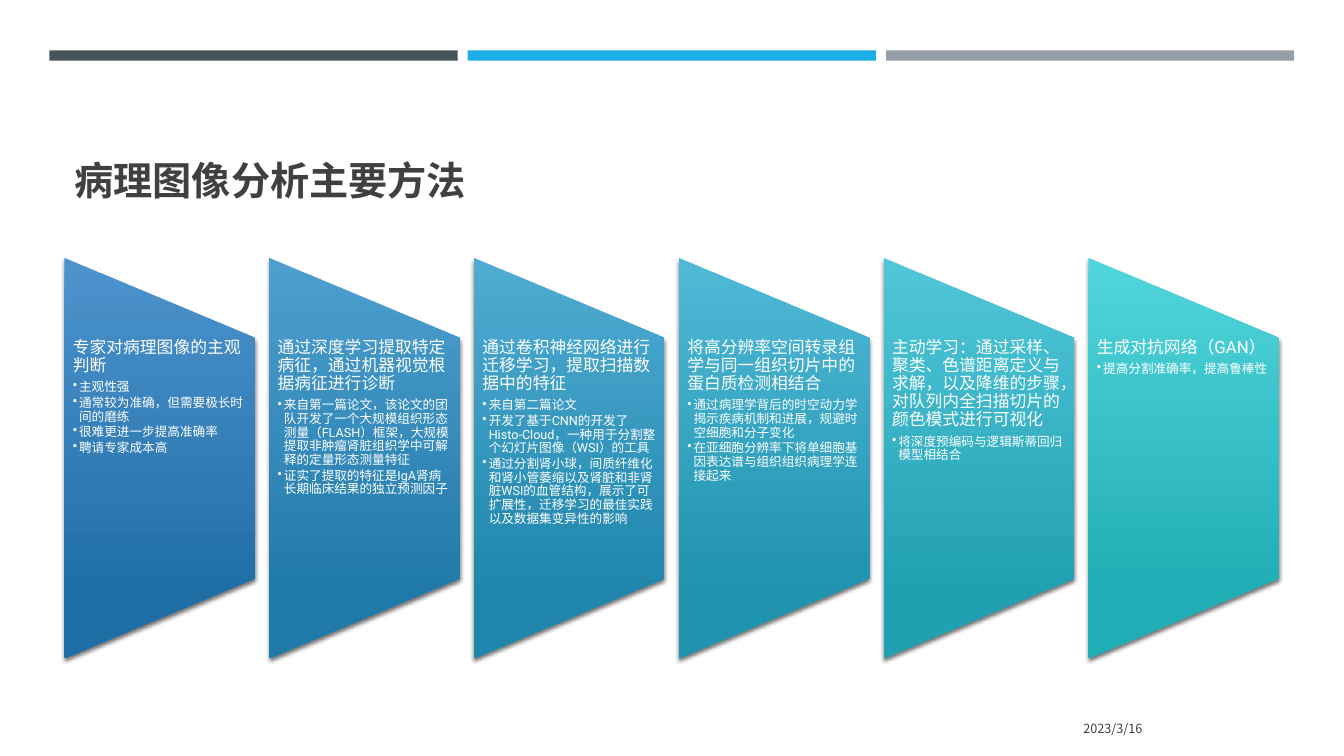
from lxml.etree import SubElement
from pptx import Presentation
from pptx.dml.color import RGBColor
from pptx.enum.lang import MSO_LANGUAGE_ID
from pptx.enum.shapes import MSO_SHAPE
from pptx.enum.text import MSO_ANCHOR, PP_ALIGN
from pptx.oxml.ns import qn
from pptx.util import Pt

TITLE = "病理图像分析主要方法"
DATE = "2023/3/16"
METHODS = [
    ("专家对病理图像的主观判断",
     ["主观性强", "通常较为准确，但需要极长时间的磨练", "很难更进一步提高准确率", "聘请专家成本高"]),
    ("通过深度学习提取特定病征，通过机器视觉根据病征进行诊断",
     ["来自第一篇论文，该论文的团队开发了一个大规模组织形态测量（FLASH）框架，大规模提取非肿瘤肾脏组织学中可解释的定量形态测量特征",
      "证实了提取的特征是IgA肾病长期临床结果的独立预测因子"]),
    ("通过卷积神经网络进行迁移学习，提取扫描数据中的特征",
     ["来自第二篇论文",
      "开发了基于CNN的开发了Histo-Cloud，一种用于分割整个幻灯片图像（WSI）的工具",
      "通过分割肾小球，间质纤维化和肾小管萎缩以及肾脏和非肾脏WSI的血管结构，展示了可扩展性，迁移学习的最佳实践以及数据集变异性的影响"]),
    ("将高分辨率空间转录组学与同一组织切片中的蛋白质检测相结合",
     ["通过病理学背后的时空动力学揭示疾病机制和进展，规避时空细胞和分子变化",
      "在亚细胞分辨率下将单细胞基因表达谱与组织组织病理学连接起来"]),
    ("主动学习：通过采样、聚类、色谱距离定义与求解，以及降维的步骤，对队列内全扫描切片的颜色模式进行可视化",
     ["将深度预编码与逻辑斯蒂回归模型相结合"]),
    ("生成对抗网络（GAN）", ["提高分割准确率，提高鲁棒性"]),
]
COLORS = {"text": "404040", "white": "FFFFFF", "shadow": "000000"}
BARS = ["465359", "1CADE4", "969FA7"]
GRADIENTS = [("4D93CD", "206EA6"), ("4E9FD0", "207AA9"), ("4FACD3", "2086AC"),
             ("4FB9D6", "2093AF"), ("50C7D9", "21A0B2"), ("51D5DC", "21ADB5")]

BAR_X, BAR_Y, BAR_W, BAR_H, BAR_STEP = 35.3, 36, 291.6, 7.4, 298.8
PANEL_X, PANEL_W, PANEL_H, PANEL_STEP = 46, 136.2, 286, 146.3
CENTER_Y, TEXT_Y, TEXT_H = 327.2, 242, 171.4
CJK_FONT = "Noto Sans CJK SC"


def rgb(value):
    return RGBColor.from_string(value)


def apply(obj, formats):
    for name, value in formats.items():
        setattr(obj, name, value)


def add_text(p, text, size, color, font="Roboto", bold=False):
    r = p.add_run()
    r.text = text
    apply(r.font, {"size": Pt(size), "name": font, "bold": bold,
                   "language_id": MSO_LANGUAGE_ID.SIMPLIFIED_CHINESE})
    r.font.color.rgb = rgb(color)
    SubElement(r.font._element, qn("a:ea"), typeface=CJK_FONT)


def set_spacing(p, after, bullet=False):
    p.line_spacing = 0.9
    pPr = p._p.get_or_add_pPr()
    spacing = SubElement(pPr, qn("a:spcAft"))
    SubElement(spacing, qn("a:spcPct"), val=str(after * 1000))
    if bullet:
        apply(p, {"level": 1})
        pPr.set("marL", str(Pt(4.5)))
        pPr.set("indent", str(Pt(-4.5)))
        SubElement(pPr, qn("a:buChar"), char="•")


def add_bar(shapes, i, color):
    sp = shapes.add_shape(MSO_SHAPE.RECTANGLE, Pt(BAR_X + i * BAR_STEP), Pt(BAR_Y),
                          Pt(BAR_W), Pt(BAR_H))
    sp.shadow.inherit = False
    sp.fill.solid()
    sp.fill.fore_color.rgb = rgb(color)
    sp.line.fill.background()


def add_panel(shapes, x, gradient):
    sp = shapes.add_shape(MSO_SHAPE.FLOWCHART_MANUAL_OPERATION,
                          Pt(x + PANEL_W / 2 - PANEL_H / 2), Pt(CENTER_Y - PANEL_W / 2),
                          Pt(PANEL_H), Pt(PANEL_W))
    sp.rotation = 270
    sp.fill.gradient()
    sp.fill.gradient_angle = 270
    for stop, color, position in zip(sp.fill.gradient_stops, gradient, (0, 0.84)):
        stop.color.rgb = rgb(color)
        stop.position = position
    sp.line.fill.background()
    sp.shadow.inherit = False
    spPr = sp._element.spPr
    spPr.find(qn("a:gradFill")).set("rotWithShape", "0")
    shadow = SubElement(spPr.find(qn("a:effectLst")), qn("a:outerShdw"),
                        blurRad=str(Pt(3)), dist=str(Pt(2)), dir="5400000", rotWithShape="0")
    tint = SubElement(shadow, qn("a:srgbClr"), val=COLORS["shadow"])
    SubElement(tint, qn("a:alpha"), val="55000")


def add_method(shapes, x, heading, points):
    tf = shapes.add_textbox(Pt(x), Pt(TEXT_Y), Pt(PANEL_W), Pt(TEXT_H)).text_frame
    apply(tf, {"word_wrap": True, "margin_left": Pt(6), "margin_right": Pt(6),
               "margin_top": 0, "margin_bottom": 0})
    p = tf.paragraphs[0]
    set_spacing(p, 35)
    add_text(p, heading, 12, COLORS["white"])
    for point in points:
        p = tf.add_paragraph()
        set_spacing(p, 15, bullet=True)
        add_text(p, point, 9, COLORS["white"])


def main():
    prs = Presentation()
    apply(prs, {"slide_width": Pt(960), "slide_height": Pt(540)})
    slide = prs.slides.add_slide(prs.slide_layouts[5])
    shapes = slide.shapes

    for i, color in enumerate(BARS):
        add_bar(shapes, i, color)

    title = shapes.title
    apply(title, {"left": Pt(46), "top": Pt(55.4), "width": Pt(868), "height": Pt(93.6)})
    apply(title.text_frame, {"vertical_anchor": MSO_ANCHOR.BOTTOM, "word_wrap": True})
    p = title.text_frame.paragraphs[0]
    p.alignment = PP_ALIGN.LEFT
    add_text(p, TITLE, 28, COLORS["text"], bold=True)

    for i, ((heading, points), gradient) in enumerate(zip(METHODS, GRADIENTS)):
        x = PANEL_X + i * PANEL_STEP
        add_panel(shapes, x, gradient)
        add_method(shapes, x, heading, points)

    tf = shapes.add_textbox(Pt(599), Pt(506.2), Pt(224), Pt(28.8)).text_frame
    apply(tf, {"word_wrap": True, "vertical_anchor": MSO_ANCHOR.MIDDLE})
    p = tf.paragraphs[0]
    p.alignment = PP_ALIGN.RIGHT
    add_text(p, DATE, 9, COLORS["text"], font=CJK_FONT)

    prs.save("out.pptx")


if __name__ == "__main__":
    main()
